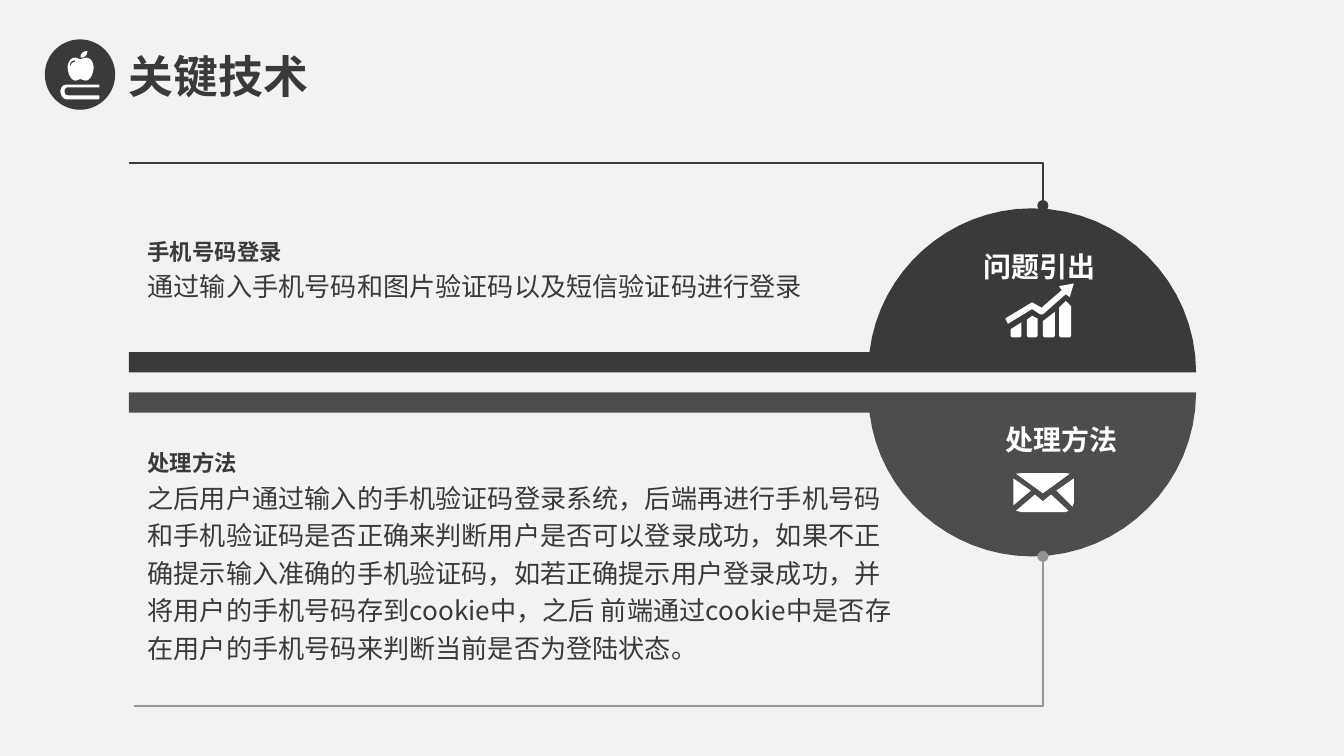
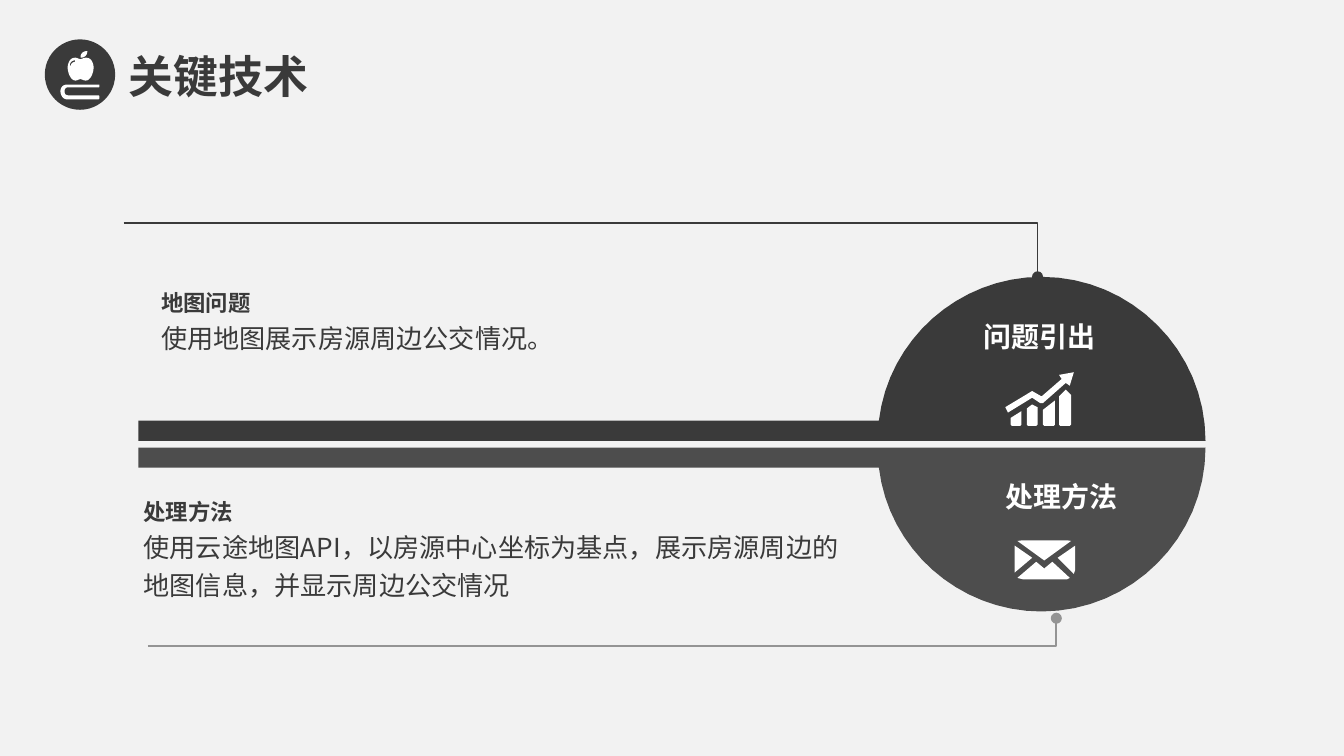
"""Builds two slides on key techniques, each with a problem half and a method half."""
from lxml.etree import SubElement
from pptx import Presentation
from pptx.dml.color import RGBColor
from pptx.enum.shapes import MSO_SHAPE
from pptx.enum.text import MSO_AUTO_SIZE, PP_ALIGN
from pptx.oxml.ns import qn
from pptx.util import Inches, Pt

DARK, MID, PALE, BACK, WHITE = "3A3A3A", "4D4D4D", "949494", "F2F2F2", "FFFFFF"
ARIAL, NOTO = "Arial", "Noto Sans CJK SC"
TITLE = "关键技术"
TAGS = [("问题引出", 7.3, PP_ALIGN.CENTER), ("处理方法", 7.48, PP_ALIGN.LEFT)]

SLIDES = [
    {"halves": [(0.96, 1.55), (0.96, 2.92)],
     "wires": [[(0.96, 1.21), (7.76, 1.21), (7.76, 1.53)],
               [(1, 5.25), (7.76, 5.25), (7.76, 4.14)]],
     "labels": [1.86, 3.14],
     "icons": [(7.48, 2.11), (7.54, 3.52)],
     "notes": [((1, 1.68, 5.46, 0.62), "手机号码登录",
                "通过输入手机号码和图片验证码以及短信验证码进行登录", ARIAL),
               ((1, 3.25, 5.76, 1.75), "处理方法",
                "之后用户通过输入的手机验证码登录系统，后端再进行手机号码和手机验证码"
                "是否正确来判断用户是否可以登录成功，如果不正确提示输入准确的手机验证码，"
                "如若正确提示用户登录成功，并将用户的手机号码存到cookie中，之后 前端通过"
                "cookie中是否存在用户的手机号码来判断当前是否为登陆状态。", NOTO)]},
    {"halves": [(1.03, 2.06), (1.03, 3.33)],
     "wires": [[(0.92, 1.66), (7.72, 1.66), (7.72, 2.06)],
               [(1.1, 4.81), (7.86, 4.81), (7.86, 4.6)]],
     "labels": [2.38, 3.57],
     "icons": [(7.48, 2.77), (7.55, 4.02)],
     "notes": [((1.1, 2.06, 5.46, 0.62), "地图问题",
                "使用地图展示房源周边公交情况。", ARIAL),
               ((0.97, 3.62, 5.4, 0.91), "处理方法",
                "使用云途地图API，以房源中心坐标为基点，展示房源周边的地图信息，"
                "并显示周边公交情况", NOTO)]},
]

HALF = [[(672, 0), (610, 0, 558, 47, 551, 107), (0, 107), (0, 122), (794, 122),
         (794, 55, 739, 0, 672, 0)]]
BARS = [(4, 12, [(12, 29), (4, 34)]), (16, 24, [(24, 26), (20, 24), (16, 27)]),
        (28, 37, [(37, 21), (28, 28)]), (40, 49, [(49, 17), (45, 13), (40, 18)])]
GROWTH = [[(0, 26), (20, 14), (27, 18), (42, 5), (40, 2), (51, 0), (48, 10),
           (45, 8), (28, 23), (26, 23), (20, 19), (2, 30)]]
GROWTH += [[(a, 39), (a + 1, 40), (b - 1, 40), (b, 39), *top] for a, b, top in BARS]
MAIL = [[(2, 0.5), (6, 0), (39, 0), (42, 0.5), (22, 15)],
        [(45, 4), (32, 13), (44, 25), (45, 22)],
        [(41, 28), (39, 29), (6, 29), (2, 28), (16, 16), (22, 21), (28, 16)],
        [(0, 24), (13, 13), (0, 4)]]
STUDY = [
    [(29, 34), (29, 35, 29, 36, 28, 36), (5, 36), (2, 36, 0, 33, 0, 30),
     (0, 27, 2, 25, 5, 25), (28, 25), (29, 25, 29, 25, 29, 26),
     (29, 27, 29, 27, 28, 27), (6, 27), (4, 27, 3, 28, 3, 30),
     (3, 32, 4, 33, 6, 33), (28, 33), (29, 33, 29, 34, 29, 34)],
    [(15, 5), (18, 5, 20, 3, 20, 0), (17, 0, 15, 2, 15, 4)],
    [(24, 9), (23, 6, 21, 5, 19, 5), (17, 5, 16, 6, 15, 6), (13, 6, 13, 5, 11, 5),
     (9, 5, 7, 6, 6, 9), (4, 13, 7, 22, 11, 22), (13, 22, 13, 21, 15, 21),
     (16, 21, 17, 22, 19, 22), (23, 22, 26, 13, 24, 9)],
    [(11, 8), (10, 8, 8, 9, 8, 10), (8, 10, 8, 11, 7, 11), (7, 8, 9, 7, 11, 7)],
]


def paint(fill, tone):
    fill.solid()
    fill.fore_color.rgb = RGBColor.from_string(tone)


def trace(loop):
    pts = [loop[0]]
    for step in loop[1:]:
        if len(step) == 2:
            pts.append(step)
            continue
        hull = [pts[-1], step[:2], step[2:4], step[4:]]
        for i in range(1, 17):
            t = i / 16
            mix = ((1 - t) ** 3, 3 * t * (1 - t) ** 2, 3 * t * t * (1 - t), t ** 3)
            pts.append(tuple(sum(m * p[k] for m, p in zip(mix, hull)) for k in (0, 1)))
    return pts


def outline(shapes, loops, close=True):
    pen = None
    for loop in loops:
        pts = [(Inches(x), Inches(y)) for x, y in loop]
        if pen is None:
            pen = shapes.build_freeform(*pts[0], scale=1.0)
        else:
            pen.move_to(*pts[0])
        pen.add_line_segments(pts[1:], close=close)
    shape = pen.convert_to_shape()
    shape.shadow.inherit = False
    return shape


def solid(shapes, loops, spot, tone, flip=0):
    x, y = spot
    moved = [[(x + a / 100, y + (flip - b if flip else b) / 100) for a, b in trace(loop)]
             for loop in loops]
    shape = outline(shapes, moved)
    paint(shape.fill, tone)
    shape.line.fill.background()


def wire(shapes, pts, tone):
    shape = outline(shapes, [pts], close=False)
    shape.fill.background()
    paint(shape.line.fill, tone)
    shape.line.width = Pt(1)
    SubElement(shape.line._get_or_add_ln(), qn("a:tailEnd"), type="oval")


def write(shapes, spot, *lines, tone=DARK, pad=True, align=None, gap=None):
    box = shapes.add_textbox(*map(Inches, spot))
    frame = box.text_frame
    frame.word_wrap = True
    frame.auto_size = MSO_AUTO_SIZE.SHAPE_TO_FIT_TEXT
    if not pad:
        frame.margin_left = frame.margin_right = frame.margin_top = frame.margin_bottom = 0
    for i, (text, size, face, bold) in enumerate(lines):
        para = frame.add_paragraph() if i else frame.paragraphs[0]
        para.alignment, para.line_spacing = align, gap
        run = para.add_run()
        run.text = text
        font = run.font
        font.size, font.name, font.bold = Pt(size), face, bold
        paint(font.fill, tone)
        SubElement(run._r.get_or_add_rPr(), qn("a:ea"), typeface=NOTO)


def header(shapes):
    write(shapes, (0.86, 0.31, 1.88, 0.51), (TITLE, 24, ARIAL, True))
    badge = shapes.add_group_shape().shapes
    disc = badge.add_shape(MSO_SHAPE.OVAL, *map(Inches, (0.34, 0.3, 0.51, 0.51)))
    disc.shadow.inherit = False
    paint(disc.fill, DARK)
    paint(disc.line.fill, DARK)
    disc.line.width = Pt(1)
    solid(badge, STUDY, (0.45, 0.38), WHITE)


def build(deck, data):
    slide = deck.slides.add_slide(deck.slide_layouts[6])
    paint(slide.background.fill, BACK)
    shapes = slide.shapes
    for spot, tone, flip in zip(data["halves"], (DARK, MID), (0, 122)):
        solid(shapes, HALF, spot, tone, flip)
    for pts, tone in zip(data["wires"], (DARK, PALE)):
        wire(shapes, pts, tone)
    for (text, x, align), y in zip(TAGS, data["labels"]):
        write(shapes, (x, y, 0.87, 0.25), (text, 15, NOTO, True),
              tone=WHITE, pad=False, align=align)
    for spot, head, body, face in data["notes"]:
        write(shapes, spot, (head, 12, ARIAL, True), (body, 14, face, False), gap=1.2)
    for loops, spot in zip((GROWTH, MAIL), data["icons"]):
        solid(shapes, loops, spot, WHITE)
    header(shapes)


def main():
    deck = Presentation()
    deck.slide_width, deck.slide_height = Inches(10), Inches(10 * 9 / 16)
    for data in SLIDES:
        build(deck, data)
    deck.save("out.pptx")


if __name__ == "__main__":
    main()
